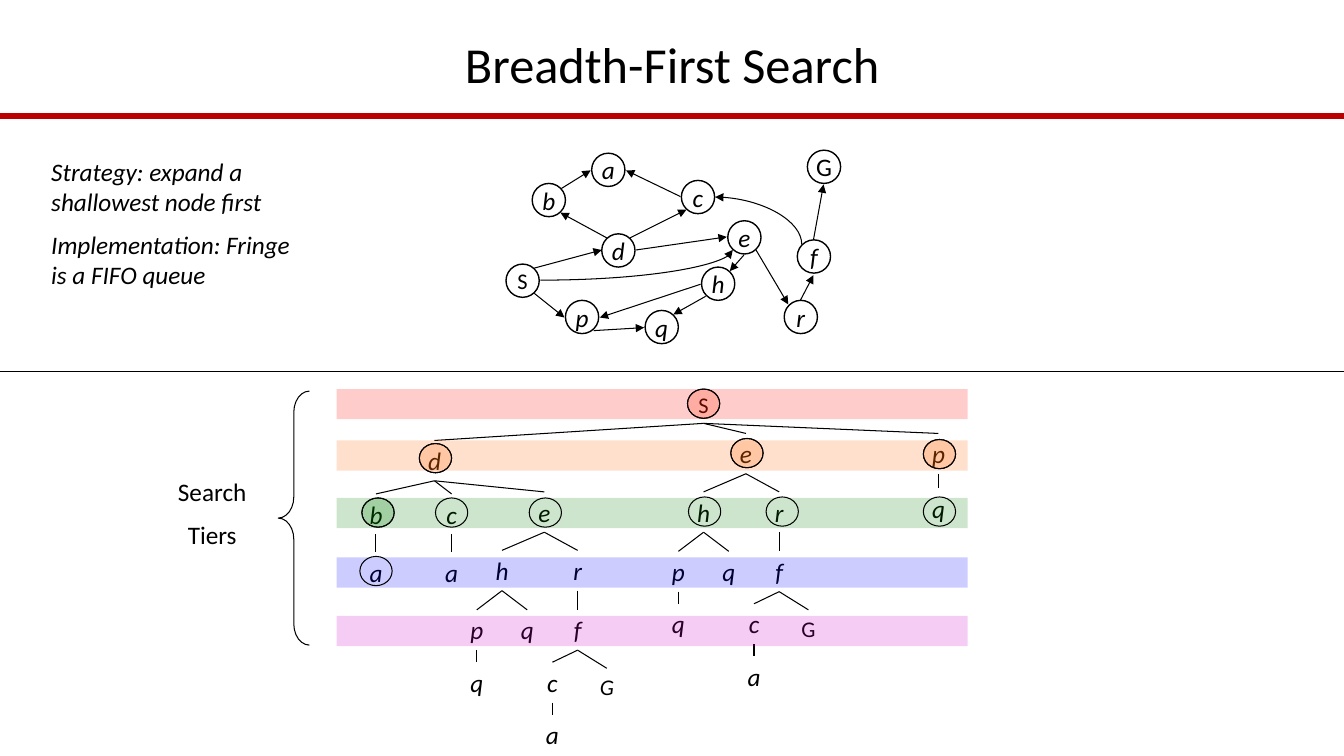
from dataclasses import dataclass, field

from lxml import etree
from pptx import Presentation
from pptx.dml.color import RGBColor
from pptx.enum.shapes import MSO_CONNECTOR, MSO_SHAPE
from pptx.enum.text import MSO_ANCHOR, MSO_AUTO_SIZE, PP_ALIGN
from pptx.oxml.ns import qn
from pptx.util import Inches, Pt

STRAIGHT, CURVE = MSO_CONNECTOR.STRAIGHT, MSO_CONNECTOR.CURVE
CIRCLE, OVAL = MSO_SHAPE.FLOWCHART_CONNECTOR, MSO_SHAPE.OVAL
BAND, BRACE = MSO_SHAPE.RECTANGLE, MSO_SHAPE.LEFT_BRACE
CENTER, LEFT, MIDDLE = PP_ALIGN.CENTER, PP_ALIGN.LEFT, MSO_ANCHOR.MIDDLE

# Grid: every column and row is a tenth of an inch.
CELL = Inches(0.1)
COLUMNS, ROWS = 133.33, 75
FONT = "Calibri"
COLORS = {"ink": "000000", "rule": "BB0000", "red": "FF0000", "start": "FF3300",
          "orange": "FF6600", "green": "008000", "blue": "0000FF", "purple": "CC00CC"}
NODE_SIZE = 3.3
RING_WIDTH, RING_HEIGHT = 3.2, 2.9
BAND_LEFT, BAND_WIDTH, BAND_HEIGHT = 33.4, 62.6, 3


@dataclass
class TreeNode:
    label: str
    column: float
    row: float
    children: list["TreeNode"] = field(default_factory=list)
    size: int = 18
    italic: bool = True

    @property
    def height(self) -> float:
        return 4 if self.size == 18 else 3.7


@dataclass
class GraphNode:
    label: str
    column: float
    row: float
    size: int = 18


@dataclass
class Ring:
    column: float
    row: float
    tint: str = ""


@dataclass
class Band:
    row: float
    color: str


GRAPH_NODES = [
    GraphNode("S", 50.2, 26.2, 16), GraphNode("G", 80.1, 14.9), GraphNode("d", 59.7, 23.2),
    GraphNode("b", 52.8, 18.2), GraphNode("p", 56.1, 29.8), GraphNode("q", 64, 30.8),
    GraphNode("c", 67.6, 17.9), GraphNode("e", 72.2, 21.9), GraphNode("h", 69.6, 26.5),
    GraphNode("a", 58.7, 15.2), GraphNode("f", 79.1, 23.8), GraphNode("r", 77.8, 29.8),
]
GRAPH_ARROWS = [
    (53, 29.1, 56, 31.5), (58.9, 32.8, 63.9, 32.5), (70, 29.4, 66.8, 31.2),
    (69.5, 28.2, 59.5, 31.5), (73.8, 25.3, 72.4, 26.9), (75, 24.8, 78.2, 30.2),
    (79.4, 29.8, 80.7, 27.3), (80.7, 23.8, 81.7, 18.3), (53, 26.6, 59.7, 24.8),
    (60.2, 23.6, 55.6, 21.1), (55.7, 18.7, 58.6, 16.9), (67.5, 19.5, 62.1, 16.9),
    (62.5, 23.6, 68.1, 20.8), (63.1, 24.8, 72.1, 23.5),
]
BANDS = [Band(38.6, "red"), Band(43.7, "orange"), Band(49.4, "green"),
         Band(55.3, "blue"), Band(61.1, "purple")]
RINGS = [
    Ring(68.2, 38.6, "start"), Ring(41.6, 44, "orange"), Ring(72.5, 43.5, "orange"),
    Ring(91.6, 43.6, "orange"), Ring(35.9, 49.4, "green"), Ring(43.2, 49.4),
    Ring(52.5, 49.4), Ring(68.3, 49.3), Ring(76, 49.3), Ring(91.6, 49.3), Ring(35.7, 55.2),
]


def e_subtree(column: float, row: float, goal_italic: bool) -> TreeNode:
    """Everything reachable from e, which occurs twice in the search tree."""
    goal = TreeNode("G", column + 6.2, row + 17.5, size=16, italic=goal_italic)
    c = TreeNode("c", column + 0.8, row + 16.9, [TreeNode("a", column + 0.8, row + 22.1)])
    f = TreeNode("f", column + 3.3, row + 11.7, [c, goal])
    p = TreeNode("p", column - 6.7, row + 11.7, [TreeNode("q", column - 6.7, row + 16.9)])
    q = TreeNode("q", column - 1.7, row + 11.7)
    return TreeNode("e", column, row, [TreeNode("h", column - 4.2, row + 5.8, [p, q]),
                                       TreeNode("r", column + 3.3, row + 5.8, [f])])


def search_tree() -> TreeNode:
    b = TreeNode("b", 37.3, 49, [TreeNode("a", 37.3, 54.8)])
    c = TreeNode("c", 44.8, 49, [TreeNode("a", 44.8, 54.8)])
    d = TreeNode("d", 43.1, 43.7, [b, c, e_subtree(54, 48.8, True)])
    p = TreeNode("p", 93.1, 43, [TreeNode("q", 93.1, 48.4)])
    return TreeNode("S", 69.8, 38.3, [d, e_subtree(74, 43, False), p], 16, False)


def cells(*counts: float) -> list[int]:
    return [round(count * CELL) for count in counts]


def color(name: str) -> RGBColor:
    return RGBColor.from_string(COLORS[name])


def write(frame, lines: list[str], size: int, italic: bool = False, align=CENTER) -> None:
    for index, line in enumerate(lines):
        paragraph = frame.add_paragraph() if index else frame.paragraphs[0]
        paragraph.text = line
        paragraph.alignment = align
        if index:
            paragraph.space_before = Pt(size / 2)
        paragraph.font.name, paragraph.font.size = FONT, Pt(size)
        paragraph.font.italic = italic
        paragraph.font.color.rgb = color("ink")


def add_text(slide, box: tuple, lines: list[str], size: int, italic: bool = False, align=CENTER):
    frame = slide.shapes.add_textbox(*cells(*box)).text_frame
    frame.word_wrap = True
    write(frame, lines, size, italic, align)


def add_line(slide, ends: tuple, kind=STRAIGHT, width: float = 0.75,
             ink: str = "ink", arrow: bool = False):
    connector = slide.shapes.add_connector(kind, *cells(*ends))
    connector.line.color.rgb = color(ink)
    connector.line.width = Pt(width)
    if arrow:
        etree.SubElement(connector.line._get_or_add_ln(), qn("a:tailEnd"), type="triangle")
    etree.SubElement(connector._element.spPr, qn("a:effectLst"))
    return connector


def add_curve(slide, ends: tuple, rotation: int = 0) -> None:
    """Quarter-bend arrow; ends are given before turning by rotation degrees."""
    properties = add_line(slide, ends, CURVE, arrow=True)._element.spPr
    properties.find(qn("a:prstGeom")).set("prst", "curvedConnector2")
    if rotation:
        properties.find(qn("a:xfrm")).set("rot", str(rotation * 60000))


def add_figure(slide, kind, box: tuple, tint: str = "", line_width: float = 0):
    """Preset shape with an optional 20% tint and an optional outline."""
    shape = slide.shapes.add_shape(kind, *cells(*box))
    shape.shadow.inherit = False
    if tint:
        shape.fill.solid()
        shape.fill.fore_color.rgb = color(tint)
        solid_color = shape._element.spPr.find(f"{qn('a:solidFill')}/{qn('a:srgbClr')}")
        etree.SubElement(solid_color, qn("a:alpha"), val="20000")
    else:
        shape.fill.background()
    if line_width:
        shape.line.color.rgb = color("ink")
        shape.line.width = Pt(line_width)
    else:
        shape.line.fill.background()
    return shape


def draw_tree(slide, node: TreeNode) -> None:
    width = 4.2 if node.size == 18 else 8.3
    add_text(slide, (node.column - width / 2, node.row, width, node.height),
             [node.label], node.size, node.italic)
    for child in node.children:
        add_line(slide, (node.column, node.row + node.height, child.column, child.row))
        draw_tree(slide, child)


def draw_graph(slide) -> None:
    for node in GRAPH_NODES:
        shape = add_figure(slide, CIRCLE, (node.column, node.row, NODE_SIZE, NODE_SIZE),
                           line_width=1)
        frame = shape.text_frame
        frame.word_wrap = False
        frame.vertical_anchor = MIDDLE
        write(frame, [node.label], node.size, node.label.islower())
    for ends in GRAPH_ARROWS:
        add_line(slide, ends, arrow=True)
    add_curve(slide, (77.6, 17.6, 72.9, 26.2), rotation=90)
    add_curve(slide, (53.6, 27.8, 72.7, 24.8))


def draw_tiers(slide) -> None:
    for band in BANDS:
        add_figure(slide, BAND, (BAND_LEFT, band.row, BAND_WIDTH, BAND_HEIGHT), band.color)
    brace = add_figure(slide, BRACE, (27.6, 38.8, 3.1, 25.2), line_width=0.75)
    brace.adjustments[0] = 0.679
    add_text(slide, (15.8, 46.8, 10.5, 8.6), ["Search", "Tiers"], 18)
    for ring in RINGS:
        for tint in ("", ring.tint) if ring.tint else ("",):
            add_figure(slide, OVAL, (ring.column, ring.row, RING_WIDTH, RING_HEIGHT), tint, 0.75)


def draw_title(slide) -> None:
    title = slide.shapes.title
    title.left, title.top, title.width, title.height = cells(9.2, 3.4, 115, 6.6)
    frame = title.text_frame
    frame.auto_size = MSO_AUTO_SIZE.NONE
    frame.vertical_anchor = MIDDLE
    write(frame, ["Breadth-First Search"], 36)
    frame.paragraphs[0].line_spacing = 0.9


def main() -> None:
    presentation = Presentation()
    presentation.slide_width, presentation.slide_height = cells(COLUMNS, ROWS)
    slide = presentation.slides.add_slide(presentation.slide_layouts.get_by_name("Title Only"))
    add_line(slide, (0, 11.5, COLUMNS, 11.5), width=4, ink="rule")
    draw_title(slide)
    draw_tree(slide, search_tree())
    draw_graph(slide)
    draw_tiers(slide)
    add_line(slide, (0, 36.9, COLUMNS, 36.9))
    add_text(slide, (4.1, 15, 25.9, 14.6),
             ["Strategy: expand a shallowest node first", "Implementation: Fringe is a FIFO queue"],
             18, italic=True, align=LEFT)
    presentation.save("out.pptx")


if __name__ == "__main__":
    main()
